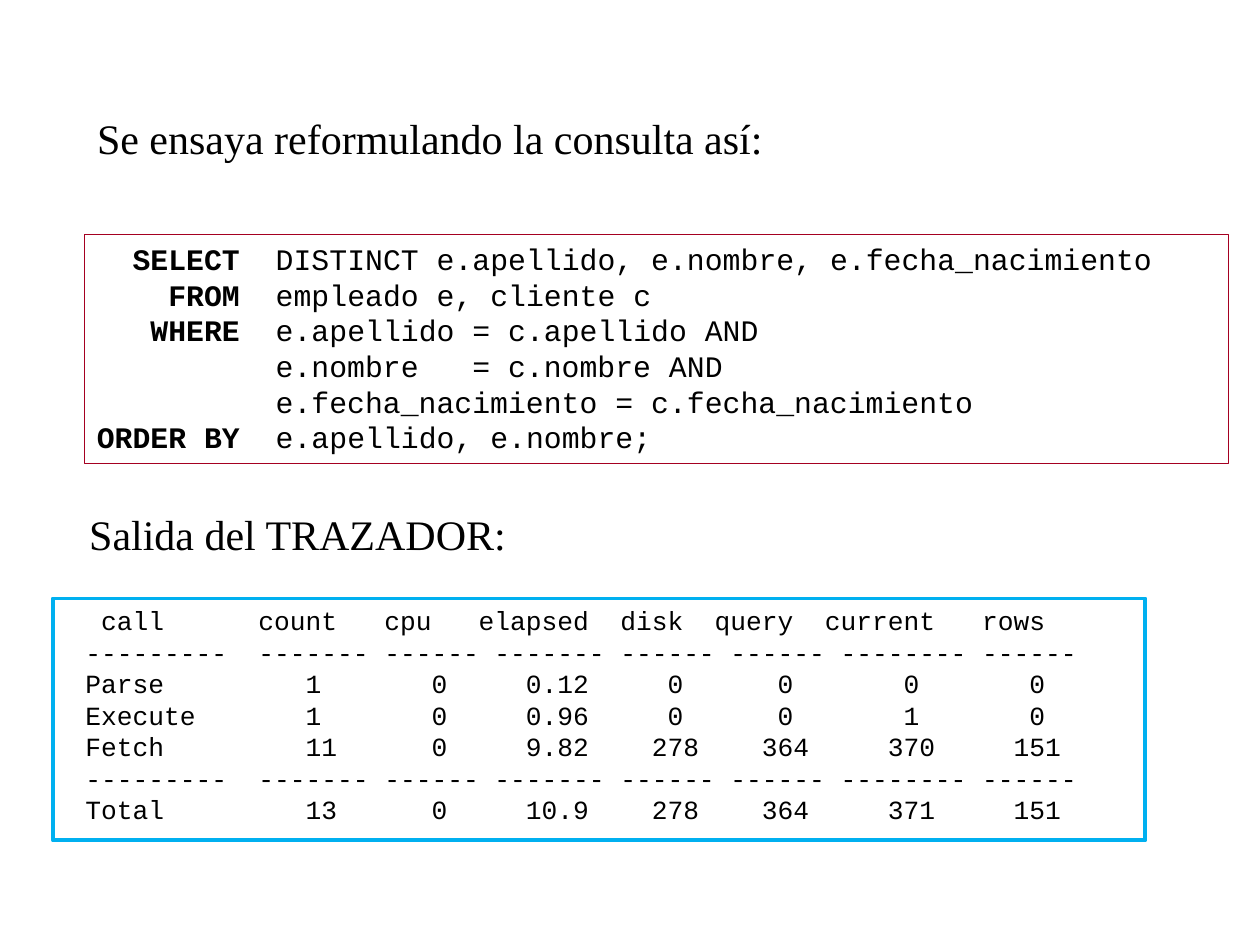
import pptx
import pptx.dml.color
import pptx.enum.shapes
import pptx.enum.text
import pptx.util

Inches = pptx.util.Inches
Pt = pptx.util.Pt
BLACK = pptx.dml.color.RGBColor(0x00, 0x00, 0x00)
CRIMSON = pptx.dml.color.RGBColor(0xA5, 0x00, 0x21)
SKY = pptx.dml.color.RGBColor(0x00, 0xB0, 0xF0)
ALIGN = pptx.enum.text.PP_ALIGN

deck = pptx.Presentation()
deck.slide_width = Inches(10)
deck.slide_height = Inches(7.5)
slide = deck.slides.add_slide(deck.slide_layouts[5])


def style_text(frame, font_name, size, alignment):
    frame.word_wrap = True
    frame.auto_size = pptx.enum.text.MSO_AUTO_SIZE.NONE
    frame.vertical_anchor = pptx.enum.text.MSO_ANCHOR.TOP
    for paragraph in frame.paragraphs:
        paragraph.alignment = alignment
        for run in paragraph.runs:
            run.font.name = font_name
            run.font.size = Pt(size)
            run.font.color.rgb = BLACK


def add_frame(left, top, width, height, color, weight):
    frame_box = slide.shapes.add_shape(
        pptx.enum.shapes.MSO_SHAPE.RECTANGLE,
        Inches(left), Inches(top), Inches(width), Inches(height))
    frame_box.shadow.inherit = False
    frame_box.fill.background()
    frame_box.line.color.rgb = color
    frame_box.line.width = Pt(weight)
    return frame_box


heading = slide.shapes.title
heading.left, heading.top = Inches(0.67), Inches(0.84)
heading.width, heading.height = Inches(8.58), Inches(0.51)
heading.text_frame.text = "Se ensaya reformulando la consulta así:"

output_heading = slide.shapes.add_textbox(
    Inches(0.61), Inches(3.99), Inches(8.25), Inches(0.5))
output_heading.text_frame.text = "Salida del TRAZADOR:"

for label in (heading, output_heading):
    style_text(label.text_frame, "Times New Roman", 24, ALIGN.JUSTIFY)

clauses = [
    ("SELECT", "DISTINCT e.apellido, e.nombre, e.fecha_nacimiento"),
    ("FROM", "empleado e, cliente c"),
    ("WHERE", "e.apellido = c.apellido AND"),
    ("", "e.nombre   = c.nombre AND"),
    ("", "e.fecha_nacimiento = c.fecha_nacimiento"),
    ("ORDER BY", "e.apellido, e.nombre;"),
]
query = add_frame(0.67, 1.86, 9.08, 1.82, CRIMSON, 0.75).text_frame
for index, (keyword, expression) in enumerate(clauses):
    line = query.paragraphs[0] if index == 0 else query.add_paragraph()
    keyword_run = line.add_run()
    keyword_run.text = f"{keyword:>8}"
    keyword_run.font.bold = bool(keyword)
    line.add_run().text = f"  {expression}"
style_text(query, "Courier New", 17, ALIGN.LEFT)

divider = "---------  ------- ------ ------- ------ ------ -------- ------"
report_lines = [
    " call      count   cpu   elapsed  disk  query  current   rows",
    divider,
    "Parse         1       0     0.12     0      0       0       0",
    "Execute       1       0     0.96     0      0       1       0",
    "Fetch         11      0     9.82    278    364     370     151",
    divider,
    "Total         13      0     10.9    278    364     371     151",
]
report = slide.shapes.add_textbox(
    Inches(0.58), Inches(4.75), Inches(9.17), Inches(1.87))
report.text_frame.text = "\n".join(report_lines)
style_text(report.text_frame, "Courier New", 15, ALIGN.LEFT)

add_frame(0.42, 4.75, 8.67, 1.92, SKY, 2.25)

deck.save("out.pptx")
